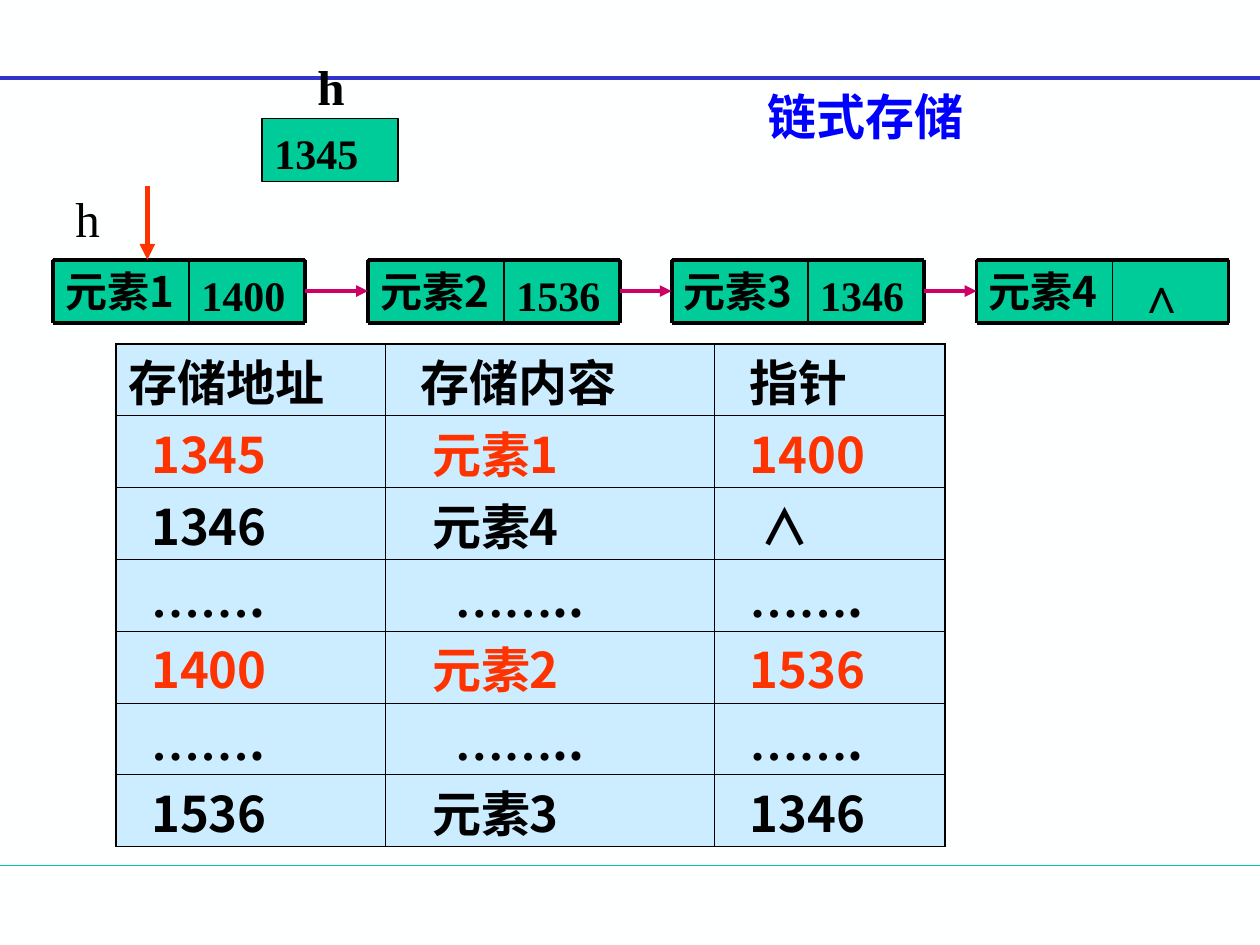
from pptx import Presentation
from pptx.dml.color import RGBColor
from pptx.enum.shapes import MSO_CONNECTOR, MSO_SHAPE
from pptx.enum.text import MSO_ANCHOR, PP_ALIGN
from pptx.oxml.ns import qn
from pptx.util import Inches, Pt
from lxml.etree import SubElement

SERIF, SANS = "Times New Roman", "Noto Sans CJK SC"
COLORS = {
    "background": "FEFFFF", "ink": "000000", "title": "0000FF",
    "node": "00CC99", "cell": "CCECFF", "link": "CC0066",
    "accent": "FF3300", "top rule": "3333CC",
}

NODE_TOP, NODE_HEIGHT = 2.06, 0.5
DATA_WIDTH, POINTER_WIDTH = 1.08, 0.92
NODES = [(0.42, "元素1", "1400"), (2.92, "元素2", "1536"),
         (5.33, "元素3", "1346"), (7.75, "元素4", "∧")]

COLUMN_WIDTHS = [2.14, 2.61, 1.83]
ROW_HEIGHT = 0.57
SPACE_WIDTH = 0.09
ELLIPSIS_ROW = ["…….", "……..", "……."]
MEMORY = [
    ["存储地址", "存储内容", "指针"],
    ["1345", "元素1", "1400"],
    ["1346", "元素4", "∧"],
    ELLIPSIS_ROW,
    ["1400", "元素2", "1536"],
    ELLIPSIS_ROW,
    ["1536", "元素3", "1346"],
]
ACCENT_ROWS = (1, 4)


def rgb(name):
    return RGBColor.from_string(COLORS[name])


def write(frame, text, size=24, font=SANS, color="ink", bold=True,
          inset_left=0.1, inset_top=0.05, anchor=MSO_ANCHOR.TOP, wrap=False):
    """Fill a text frame; ellipsis characters are always set in the serif font."""
    frame.word_wrap = wrap
    frame.vertical_anchor = anchor
    frame.margin_left, frame.margin_right = Inches(inset_left), Inches(0.1)
    frame.margin_top, frame.margin_bottom = Inches(inset_top), Inches(0.05)
    paragraph = frame.paragraphs[0]
    paragraph.alignment = PP_ALIGN.LEFT
    dots = "…" * text.count("…")
    for part, face in ((dots, SERIF), (text.replace("…", ""), font)):
        if not part:
            continue
        run = paragraph.add_run()
        run.text = part
        run.font.size, run.font.bold = Pt(size), bold
        run.font.color.rgb = rgb(color)
        run.font.name = face
        SubElement(run.font._element, qn("a:ea"), typeface=face)


def add_line(slide, start, end, color="ink", width=2.25, arrow=False):
    line = slide.shapes.add_connector(
        MSO_CONNECTOR.STRAIGHT, *(Inches(value) for value in (*start, *end)))
    line.line.color.rgb = rgb(color)
    line.line.width = Pt(width)
    if arrow:
        SubElement(line.line._get_or_add_ln(), qn("a:tailEnd"), type="triangle")
    SubElement(line._element.spPr, qn("a:effectLst"))
    return line


def add_field(slide, left, top, width, text, **text_format):
    """Add one green storage field."""
    field = slide.shapes.add_shape(
        MSO_SHAPE.RECTANGLE, Inches(left), Inches(top), Inches(width), Inches(NODE_HEIGHT))
    field.shadow.inherit = False
    field.fill.solid()
    field.fill.fore_color.rgb = rgb("node")
    field.line.color.rgb = rgb("ink")
    field.line.width = Pt(0.75)
    write(field.text_frame, text, anchor=MSO_ANCHOR.MIDDLE, **text_format)
    return field


def add_node(slide, left, content, pointer):
    split, right = left + DATA_WIDTH, left + DATA_WIDTH + POINTER_WIDTH
    bottom = NODE_TOP + NODE_HEIGHT
    last = pointer == "∧"
    pointer_field = add_field(
        slide, split, NODE_TOP, POINTER_WIDTH, pointer, font=SERIF,
        size=28 if last else 24, inset_left=0.2 if last else 0.1, inset_top=0.1)
    data_field = add_field(slide, left, NODE_TOP, DATA_WIDTH, content)
    for y in (NODE_TOP, bottom):
        add_line(slide, (left, y), (right, y))
    for x, width in ((left, 2.25), (split, 1), (right, 2.25)):
        add_line(slide, (x, NODE_TOP), (x, bottom), width=width)
    return data_field, pointer_field


def add_linked_list(slide):
    fields = [add_node(slide, *node) for node in NODES]
    for (_, pointer_field), (next_data, _) in zip(fields, fields[1:]):
        link = add_line(slide, (0, 0), (0, 0), "link", arrow=True)
        link.begin_connect(pointer_field, 3)
        link.end_connect(next_data, 1)


def add_label(slide, text, left, top, width, bold):
    label = slide.shapes.add_textbox(Inches(left), Inches(top), Inches(width), Inches(0.57))
    write(label.text_frame, text, size=28, font=SERIF, bold=bold)


def set_borders(cell, widths):
    """Draw cell borders; widths are points for left, right, top, bottom."""
    properties = cell._tc.get_or_add_tcPr()
    for index, (side, width) in enumerate(zip("LRTB", widths)):
        border = properties.makeelement(qn(f"a:ln{side}"), {"w": str(Pt(width))})
        fill = SubElement(border, qn("a:solidFill"))
        SubElement(fill, qn("a:srgbClr"), val=COLORS["ink"])
        properties.insert(index, border)


def indent_spaces(row, column, text):
    if row == 0:
        return 2 if column else 0
    if column == 1:
        return 5 if "…" in text else 3
    return 3 if text == "∧" else 2


def add_memory_table(slide):
    last_row, last_column = len(MEMORY) - 1, len(COLUMN_WIDTHS) - 1
    table = slide.shapes.add_table(
        len(MEMORY), len(COLUMN_WIDTHS), Inches(0.92), Inches(2.73),
        Inches(sum(COLUMN_WIDTHS)), Inches(ROW_HEIGHT * len(MEMORY))).table
    table.first_row = table.horz_banding = False
    for column, width in zip(table.columns, COLUMN_WIDTHS):
        column.width = Inches(width)
    for r, texts in enumerate(MEMORY):
        table.rows[r].height = Inches(ROW_HEIGHT)
        for c, text in enumerate(texts):
            cell = table.cell(r, c)
            cell.fill.solid()
            cell.fill.fore_color.rgb = rgb("cell")
            edges = (c == 0, c == last_column, r == 0, r == last_row)
            set_borders(cell, [1.08 if outer else 0.45 for outer in edges])
            write(cell.text_frame, text, size=28,
                  color="accent" if r in ACCENT_ROWS else "ink", wrap=True)
            cell.margin_left = Inches(0.1 + SPACE_WIDTH * indent_spaces(r, c, text))
            cell.margin_right = Inches(0.1)
            cell.margin_top = cell.margin_bottom = 0
            cell.vertical_anchor = MSO_ANCHOR.BOTTOM


def add_title(slide, text):
    title = slide.shapes.title
    title.left, title.top = Inches(5.92), Inches(0.64)
    title.width, title.height = Inches(1.89), Inches(0.66)
    write(title.text_frame, text, size=28, color="title", inset_left=0.17, wrap=True)


def main():
    presentation = Presentation()
    presentation.slide_width, presentation.slide_height = Inches(10), Inches(7.5)
    slide = presentation.slides.add_slide(presentation.slide_layouts[5])
    slide.background.fill.solid()
    slide.background.fill.fore_color.rgb = rgb("background")

    add_line(slide, (0, 6.87), (10, 6.87), "node", 0.75)
    add_line(slide, (0, 0.62), (10, 0.62), "top rule")
    add_title(slide, "链式存储")
    add_linked_list(slide)
    add_field(slide, 2.08, 0.94, DATA_WIDTH, "1345", font=SERIF, inset_top=0.1)
    add_label(slide, "h", 0.5, 1.45, 0.39, bold=False)
    add_label(slide, "h", 2.42, 0.4, 0.42, bold=True)
    add_line(slide, (1.17, 1.48), (1.17, NODE_TOP), "accent", 3, arrow=True)
    add_memory_table(slide)
    presentation.save("out.pptx")


if __name__ == "__main__":
    main()
